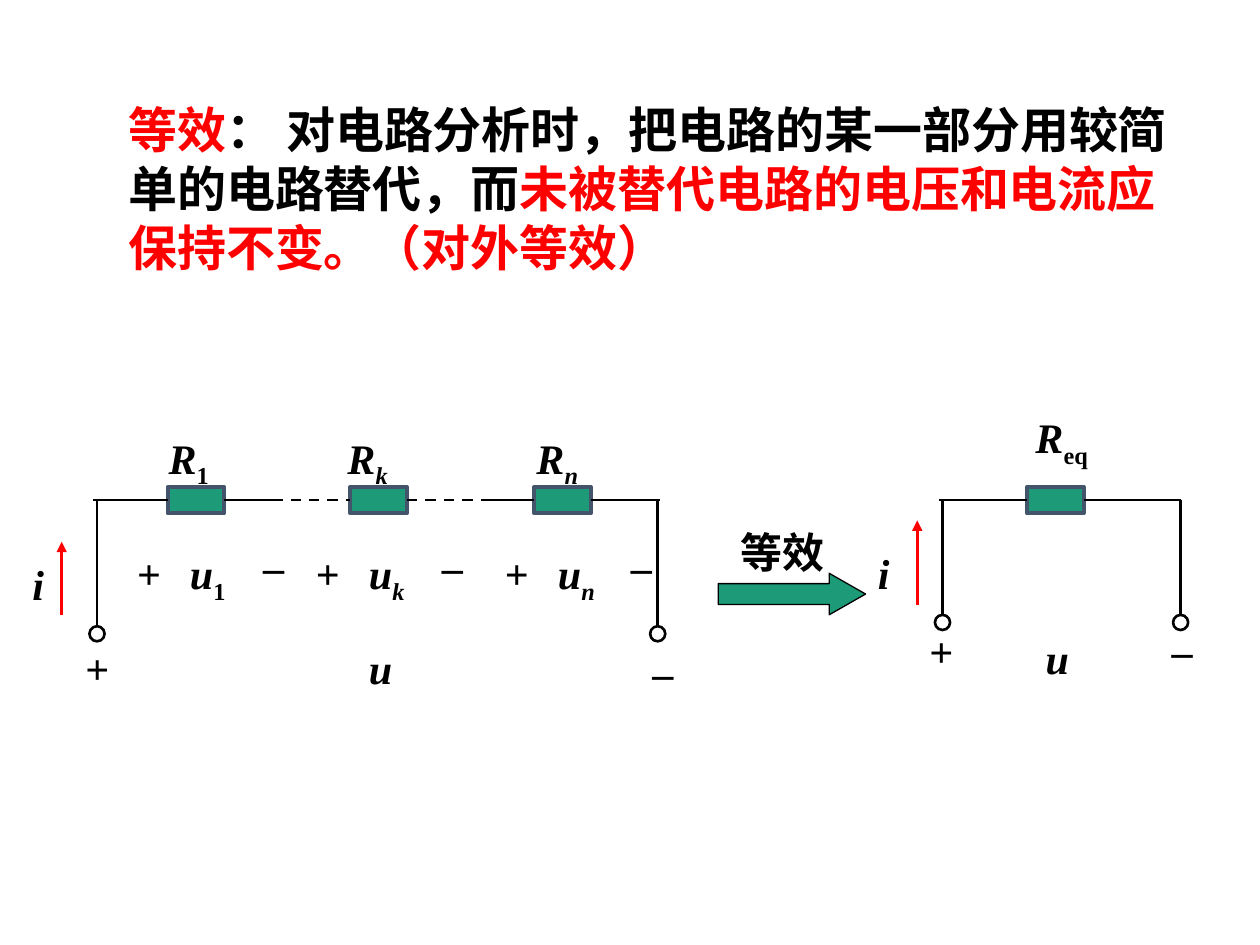
from lxml import etree
from pptx import Presentation
from pptx.dml.color import RGBColor
from pptx.enum.dml import MSO_LINE
from pptx.enum.shapes import MSO_CONNECTOR, MSO_SHAPE
from pptx.enum.text import MSO_AUTO_SIZE
from pptx.oxml.ns import qn
from pptx.util import Inches, Pt

STRAIGHT = MSO_CONNECTOR.STRAIGHT
RECTANGLE, OVAL, RIGHT_ARROW = MSO_SHAPE.RECTANGLE, MSO_SHAPE.OVAL, MSO_SHAPE.RIGHT_ARROW
DASH = MSO_LINE.DASH
FIT_TEXT = MSO_AUTO_SIZE.SHAPE_TO_FIT_TEXT

COLORS = {"text": "000000", "accent": "FF0000", "body": "1D9A78", "edge": "44546A"}
FONT = "Times New Roman"
TOP, LEFT, RIGHT = 0, 1, 3  # connection sites
WIRE_Y = 3.97
RESISTOR_WIDTH, RESISTOR_HEIGHT = 0.45, 0.21
TERMINAL_SIZE = 0.12


def color(name):
    return RGBColor.from_string(COLORS[name])


class CircuitSlide:
    """Draws text and circuit parts in one style on one slide."""

    def __init__(self, slide):
        self.slide = slide

    def text(self, left, top, width, height, runs, size=24, rotation=0):
        """Each run is (text, options) with color, italic and subscript options."""
        box = self.slide.shapes.add_textbox(
            Inches(left), Inches(top), Inches(width), Inches(height))
        box.rotation = rotation
        frame = box.text_frame
        frame.word_wrap = True
        frame.auto_size = FIT_TEXT
        paragraph = frame.paragraphs[0]
        paragraph.font.name = FONT
        paragraph.font.size = Pt(size)
        paragraph.font.bold = True
        for content, options in runs:
            run = paragraph.add_run()
            run.text = content
            run.font.color.rgb = color(options.get("color", "text"))
            run.font.italic = options.get("italic", False)
            if options.get("subscript"):
                run.font._element.set("baseline", "-25000")

    def sign(self, left, top, symbol, width=0.33, rotation=0):
        self.text(left, top, width, 0.5, [(symbol, {})], rotation=rotation)

    def variable(self, left, top, name, subscript="", width=0.67, upright=False):
        runs = [(name, {"italic": True})]
        if subscript:
            runs.append((subscript, {"italic": not upright, "subscript": True}))
        self.text(left, top, width, 0.56 if subscript else 0.5, runs)

    def shape(self, kind, left, top, width, height, fill=None, line="text", weight=1.5):
        shape = self.slide.shapes.add_shape(
            kind, Inches(left), Inches(top), Inches(width), Inches(height))
        shape.shadow.inherit = False
        if fill:
            shape.fill.solid()
            shape.fill.fore_color.rgb = color(fill)
        else:
            shape.fill.background()
        shape.line.color.rgb = color(line)
        shape.line.width = Pt(weight)
        return shape

    def resistor(self, center):
        return self.shape(RECTANGLE, center - RESISTOR_WIDTH / 2,
                          WIRE_Y - RESISTOR_HEIGHT / 2, RESISTOR_WIDTH,
                          RESISTOR_HEIGHT, "body", "edge", 2.25)

    def wire(self, start, end, line="text", dashed=False, start_at=None, end_at=None):
        """start_at and end_at are (shape, site) pairs to join."""
        connector = self.slide.shapes.add_connector(
            STRAIGHT, *(Inches(value) for value in (*start, *end)))
        if start_at:
            connector.begin_connect(*start_at)
        if end_at:
            connector.end_connect(*end_at)
        connector.line.color.rgb = color(line)
        connector.line.width = Pt(1.5)
        if dashed:
            connector.line.dash_style = DASH
        etree.SubElement(connector._element.spPr, qn("a:effectLst"))
        return connector

    def terminal(self, center, top):
        """A vertical lead with its open terminal below."""
        circle = self.shape(OVAL, center - TERMINAL_SIZE / 2, top,
                            TERMINAL_SIZE, TERMINAL_SIZE)
        self.wire((center, WIRE_Y), (center, top), end_at=(circle, TOP))

    def current_arrow(self, x, bottom, top):
        connector = self.wire((x, bottom), (x, top), "accent")
        etree.SubElement(connector.line._get_or_add_ln(), qn("a:tailEnd"), type="triangle")


def main():
    presentation = Presentation()
    presentation.slide_width, presentation.slide_height = Inches(10), Inches(7.5)
    slide = presentation.slides.add_slide(presentation.slide_layouts[6])
    circuit = CircuitSlide(slide)

    # Definition
    circuit.text(0.92, 0.74, 8.7, 1.5, [
        ("等效", {"color": "accent"}),
        ("： 对电路分析时，把电路的某一部分用较简单的电路替代，而", {}),
        ("未被替代电路的电压和电流应保持不变。（对外等效）", {"color": "accent"}),
    ], size=28)

    # Equivalence arrow
    arrow = circuit.shape(RIGHT_ARROW, 5.7, 4.55, 1.17, 0.33, "body", weight=0.75)
    arrow.adjustments[0], arrow.adjustments[1] = 0.5, 0.875
    circuit.text(5.78, 4.13, 1, 0.5, [("等效", {})])

    # Series circuit: resistors with their voltages
    resistors = []
    for center, left, subscript in ((1.555, 0.99, "1"), (3.005, 2.41, "k"), (4.465, 3.91, "n")):
        upright = subscript.isdigit()
        resistors.append(circuit.resistor(center))
        circuit.variable(left + 0.25, 3.38, "R", subscript, upright=upright)
        circuit.sign(left, 4.3, "+")
        circuit.variable(left + 0.42, 4.3, "u", subscript, upright=upright)
        circuit.sign(left + 1, 4.13, "_")

    # Series circuit: wires, dashed around the middle resistor
    first, middle, last = resistors
    circuit.wire((0.74, WIRE_Y), (1.33, WIRE_Y), end_at=(first, LEFT))
    circuit.wire((1.78, WIRE_Y), (2.19, WIRE_Y), start_at=(first, RIGHT))
    circuit.wire((2.16, WIRE_Y), (2.78, WIRE_Y), dashed=True, end_at=(middle, LEFT))
    circuit.wire((3.23, WIRE_Y), (3.83, WIRE_Y), dashed=True, start_at=(middle, RIGHT))
    circuit.wire((3.83, WIRE_Y), (4.24, WIRE_Y), end_at=(last, LEFT))
    circuit.wire((4.69, WIRE_Y), (5.24, WIRE_Y), start_at=(last, RIGHT))
    for center in (0.77, 5.22):
        circuit.terminal(center, 4.97)

    # Series circuit: current and total voltage
    circuit.current_arrow(0.49, 4.88, 4.3)
    circuit.variable(0.16, 4.38, "i", width=0.33)
    circuit.sign(0.58, 5.05, "+")
    circuit.variable(2.83, 5.05, "u", width=0.56)
    circuit.sign(5.08, 4.97, "_")

    # Equivalent circuit
    equivalent = circuit.resistor(8.375)
    circuit.variable(8.12, 3.22, "R", "eq", width=1.17, upright=True)
    circuit.wire((7.45, WIRE_Y), (8.15, WIRE_Y), end_at=(equivalent, LEFT))
    circuit.wire((8.6, WIRE_Y), (9.37, WIRE_Y), start_at=(equivalent, RIGHT))
    for center in (7.48, 9.37):
        circuit.terminal(center, 4.88)
    circuit.current_arrow(7.28, 4.8, 4.13)
    circuit.variable(6.87, 4.3, "i", width=0.33)
    circuit.sign(7.24, 4.92, "+", width=0.42, rotation=270)
    circuit.variable(8.2, 4.97, "u", width=0.42)
    circuit.sign(9.2, 4.8, "_")

    presentation.save("out.pptx")


if __name__ == "__main__":
    main()
